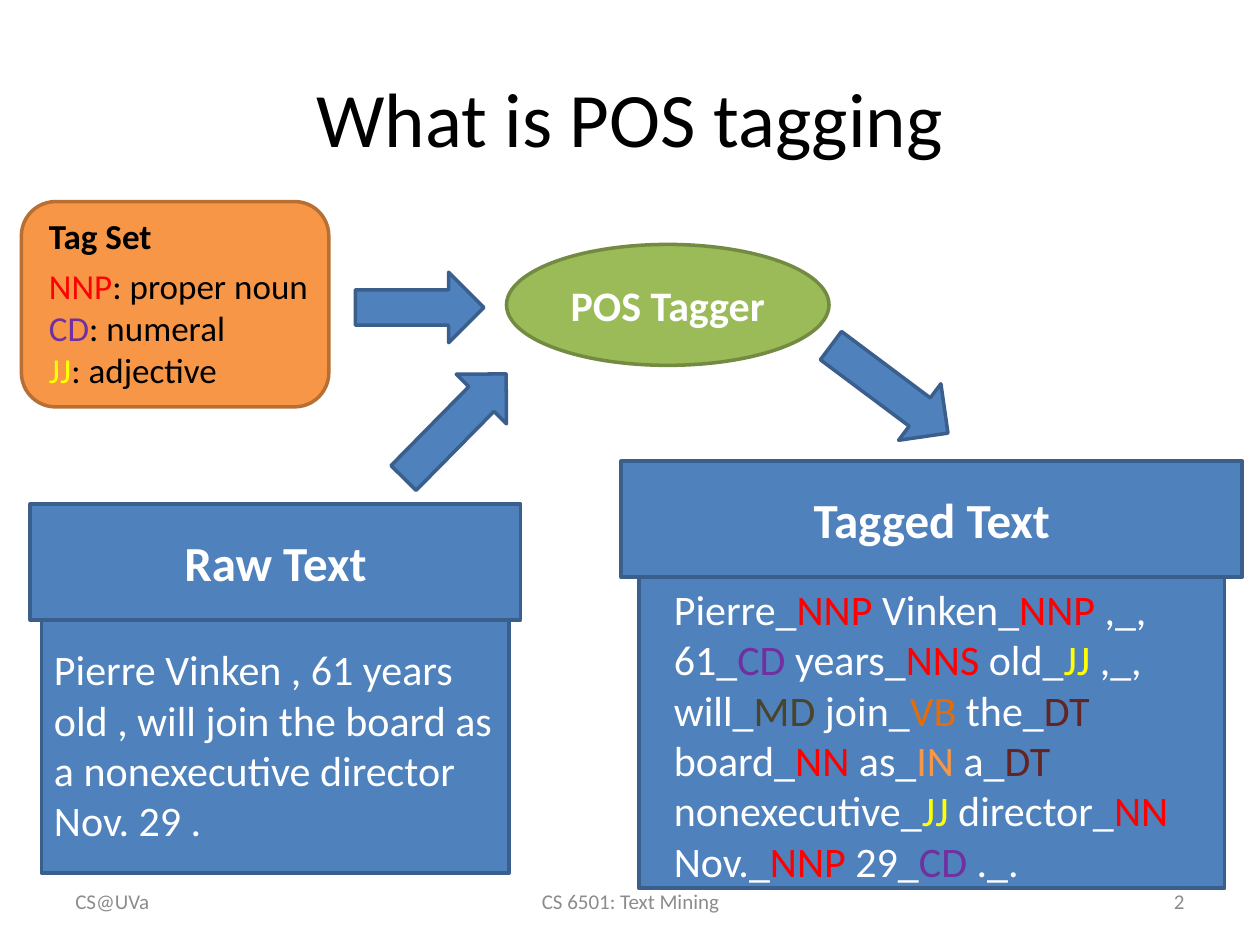
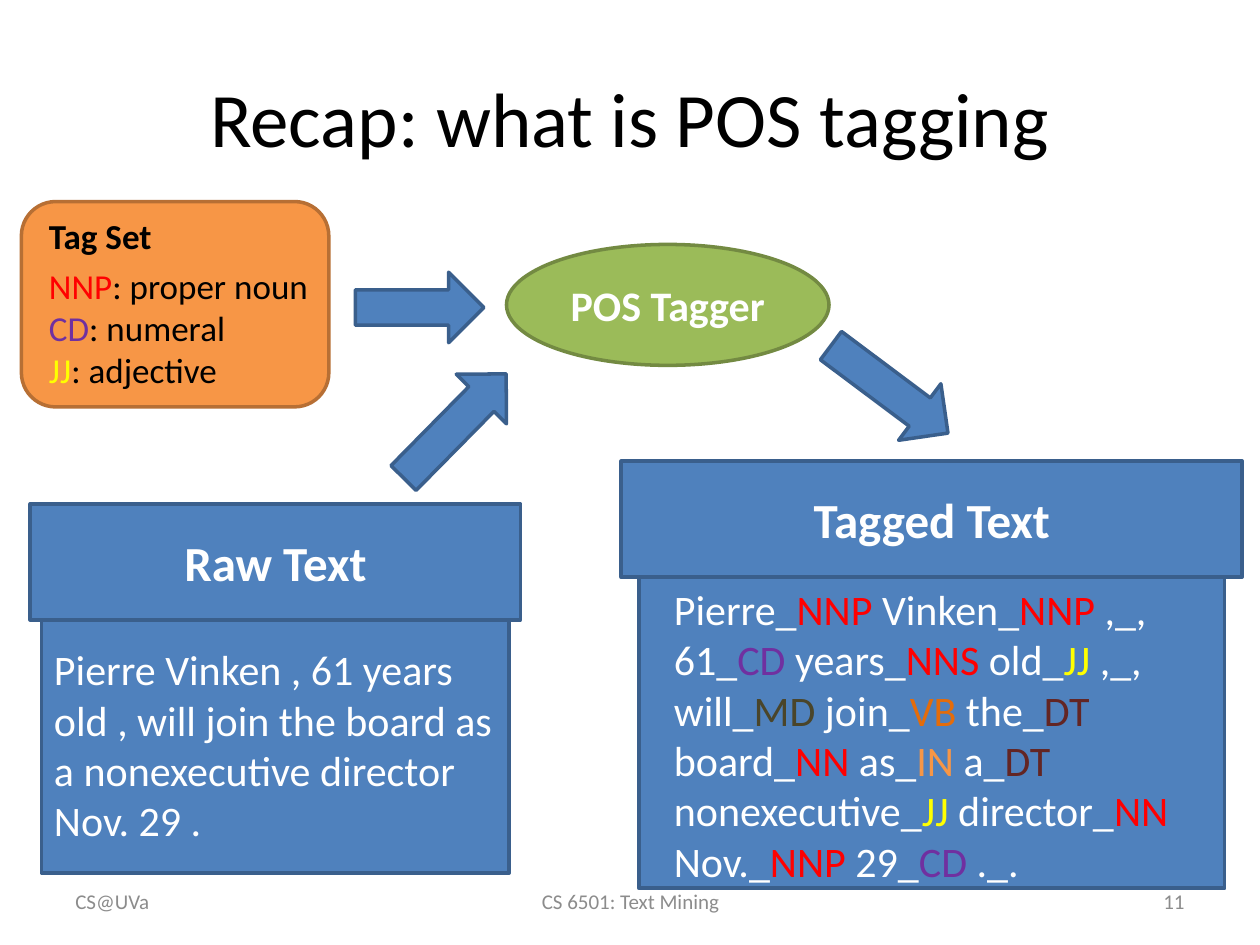
"""Build the two part-of-speech tagging slides."""
from dataclasses import dataclass
from typing import Any

from pptx import Presentation
from pptx.dml.color import RGBColor
from pptx.enum.shapes import MSO_SHAPE as Preset
from pptx.enum.text import MSO_ANCHOR as Anchor, MSO_AUTO_SIZE as AutoSize, PP_ALIGN as Align
from pptx.util import Inches, Pt


@dataclass(frozen=True)
class Theme:
    """Colours, type sizes and the font of the deck."""
    font: str = "Calibri"
    black: str = "000000"
    white: str = "FFFFFF"
    grey: str = "8C8C8C"
    blue: str = "4F81BD"
    blue_edge: str = "3A5F8C"
    green: str = "9BBB59"
    green_edge: str = "738A42"
    orange: str = "F79646"
    orange_edge: str = "B76F34"
    red: str = "FF0000"
    purple: str = "7030A0"
    yellow: str = "FFFF00"
    olive: str = "4A452A"
    rust: str = "E46C0A"
    maroon: str = "632523"
    title_size: int = 44
    header_size: int = 28
    body_size: int = 24
    legend_size: int = 20
    footer_size: int = 12
    edge_width: int = 2


THEME = Theme()
TAG_COLOURS = {
    "NNP": THEME.red, "NNS": THEME.red, "NN": THEME.red, "CD": THEME.purple,
    "JJ": THEME.yellow, "MD": THEME.olive, "VB": THEME.rust,
    "DT": THEME.maroon, "IN": THEME.orange,
}
RAW_TEXT = ("Pierre Vinken , 61 years old , will join the board as "
            "a nonexecutive director Nov. 29 .")
TAGGED_TEXT = ("Pierre_NNP Vinken_NNP ,_, 61_CD years_NNS old_JJ ,_, will_MD "
               "join_VB the_DT board_NN as_IN a_DT nonexecutive_JJ "
               "director_NN Nov._NNP 29_CD ._.")
TAG_MEANINGS = {"NNP": "proper noun", "CD": "numeral", "JJ": "adjective"}


@dataclass(frozen=True)
class Area:
    """A place on the slide, in inches."""
    left: float
    top: float
    width: float
    height: float

    def lengths(self) -> list[Inches]:
        """Return left, top, width and height as lengths."""
        return [Inches(n) for n in (self.left, self.top, self.width, self.height)]


@dataclass(frozen=True)
class Span:
    """A piece of text in one colour."""
    text: str
    colour: str
    bold: bool = False


@dataclass(frozen=True)
class Block:
    """A preset shape with its colours, rotation and label."""
    preset: Preset
    area: Area
    fill: str = THEME.blue
    edge: str = THEME.blue_edge
    turn: float = 0
    label: str = ""
    size: int = THEME.header_size


@dataclass(frozen=True)
class Footer:
    """One part of the footer line."""
    text: str
    left: float
    width: float
    align: Align


@dataclass(frozen=True)
class Page:
    """What differs from slide to slide."""
    title: str
    number: int


def arrow(left: float, top: float, length: float, turn: float) -> Block:
    """Describe a rotated block arrow."""
    return Block(Preset.DOWN_ARROW, Area(left, top, 0.56, length), turn=turn)


RAW_PANEL = Block(Preset.RECTANGLE, Area(0.33, 4.11, 3.71, 2.82))
RAW_HEADER = Block(Preset.RECTANGLE, Area(0.24, 4, 3.89, 0.92), label="Raw Text")
TAGGED_PANEL = Block(Preset.RECTANGLE, Area(5.07, 4.23, 4.65, 2.82))
TAGGED_HEADER = Block(Preset.RECTANGLE, Area(4.93, 3.66, 4.93, 0.92), label="Tagged Text")
TAGGER = Block(Preset.OVAL, Area(4.02, 1.94, 2.56, 0.96), THEME.green, THEME.green_edge,
               label="POS Tagger", size=THEME.body_size)
TAG_SET_PANEL = Block(Preset.ROUNDED_RECTANGLE, Area(0.17, 1.6, 2.44, 1.63),
                      THEME.orange, THEME.orange_edge)
OUTPUT_ARROW = arrow(6.78, 2.51, 1.16, 306.8)
RAW_ARROW = arrow(3.33, 2.8, 1.16, 224.6)
TAG_SET_ARROW = arrow(3.05, 1.93, 1.02, 270)
PAGES = [Page("What is POS tagging", 2), Page("Recap: what is POS tagging", 11)]


def write(para: Any, spans: list[Span], size: int, align: Align = Align.LEFT) -> None:
    """Fill a paragraph run by run."""
    para.alignment = align
    for span in spans:
        run = para.add_run()
        run.text = span.text
        run.font.name = THEME.font
        run.font.size = Pt(size)
        run.font.bold = span.bold
        run.font.color.rgb = RGBColor.from_string(span.colour)


def draw_block(shapes: Any, block: Block) -> None:
    """Draw a preset shape and its label."""
    shape = shapes.add_shape(block.preset, *block.area.lengths())
    shape.shadow.inherit = False
    shape.rotation = block.turn
    shape.fill.solid()
    shape.fill.fore_color.rgb = RGBColor.from_string(block.fill)
    shape.line.color.rgb = RGBColor.from_string(block.edge)
    shape.line.width = Pt(THEME.edge_width)
    if block.label:
        shape.text_frame.vertical_anchor = Anchor.MIDDLE
        write(shape.text_frame.paragraphs[0], [Span(block.label, THEME.white, True)],
              block.size, Align.CENTER)


def draw_text(shapes: Any, area: Area, lines: list[list[Span]], size: int) -> None:
    """Draw a text box that grows with its lines."""
    box = shapes.add_textbox(*area.lengths())
    frame = box.text_frame
    frame.word_wrap = True
    frame.auto_size = AutoSize.SHAPE_TO_FIT_TEXT
    for index, spans in enumerate(lines):
        write(frame.add_paragraph() if index else frame.paragraphs[0], spans, size)


def tagged_spans(text: str) -> list[Span]:
    """Colour each tag after its underscore."""
    spans = []
    tokens = text.split()
    for index, token in enumerate(tokens, 1):
        word, tag = token.split("_")
        gap = " " if index < len(tokens) else ""
        spans += [Span(f"{word}_", THEME.white),
                  Span(tag + gap, TAG_COLOURS.get(tag, THEME.white))]
    return spans


def draw_raw_text(shapes: Any) -> None:
    """Draw the untagged sentence and its panel."""
    draw_block(shapes, RAW_PANEL)
    draw_block(shapes, RAW_HEADER)
    draw_text(shapes, Area(0.33, 5.06, 3.81, 1.72), [[Span(RAW_TEXT, THEME.white)]],
              THEME.body_size)


def draw_tagged_text(shapes: Any) -> None:
    """Draw the tagged sentence and its panel."""
    draw_block(shapes, TAGGED_PANEL)
    draw_text(shapes, Area(5.25, 4.58, 4.37, 2.52), [tagged_spans(TAGGED_TEXT)],
              THEME.body_size)
    draw_block(shapes, TAGGED_HEADER)


def draw_tag_set(shapes: Any) -> None:
    """Draw the legend of tags and the arrow from it."""
    draw_block(shapes, TAG_SET_PANEL)
    draw_block(shapes, TAG_SET_ARROW)
    draw_text(shapes, Area(0.29, 1.65, 1.45, 0.44),
              [[Span("Tag Set", THEME.black, True)]], THEME.legend_size)
    meanings = [[Span(tag, TAG_COLOURS[tag]), Span(f": {meaning}", THEME.black)]
                for tag, meaning in TAG_MEANINGS.items()]
    draw_text(shapes, Area(0.29, 2.05, 2.88, 1.11), meanings, THEME.legend_size)


def draw_footers(shapes: Any, number: int) -> None:
    """Draw the footer line with the page number."""
    footers = [
        Footer("CS@UVa", 0.5, 2.33, Align.LEFT),
        Footer("CS 6501: Text Mining", 3.42, 3.17, Align.CENTER),
        Footer(str(number), 7.17, 2.33, Align.RIGHT),
    ]
    for footer in footers:
        box = shapes.add_textbox(*Area(footer.left, 6.95, footer.width, 0.4).lengths())
        box.text_frame.word_wrap = True
        box.text_frame.vertical_anchor = Anchor.MIDDLE
        write(box.text_frame.paragraphs[0], [Span(footer.text, THEME.grey)],
              THEME.footer_size, footer.align)


def draw_title(title: Any, text: str) -> None:
    """Place and fill the title placeholder."""
    title.left, title.top, title.width, title.height = Area(0.5, 0.3, 9, 1.25).lengths()
    title.text_frame.vertical_anchor = Anchor.MIDDLE
    write(title.text_frame.paragraphs[0], [Span(text, THEME.black)],
          THEME.title_size, Align.CENTER)


def draw_page(deck: Any, page: Page) -> None:
    """Add one slide with the whole tagging diagram."""
    shapes = deck.slides.add_slide(deck.slide_layouts.get_by_name("Title Only")).shapes
    draw_title(shapes.title, page.title)
    draw_raw_text(shapes.add_group_shape().shapes)
    draw_tagged_text(shapes.add_group_shape().shapes)
    draw_block(shapes, OUTPUT_ARROW)
    tagger_shapes = shapes.add_group_shape().shapes
    draw_block(tagger_shapes, TAGGER)
    draw_block(tagger_shapes, RAW_ARROW)
    draw_footers(shapes, page.number)
    draw_tag_set(shapes.add_group_shape().shapes)


def main() -> None:
    """Build and save the deck."""
    deck = Presentation()
    deck.slide_width, deck.slide_height = Inches(10), Inches(7.5)
    for page in PAGES:
        draw_page(deck, page)
    deck.save("out.pptx")


if __name__ == "__main__":
    main()
